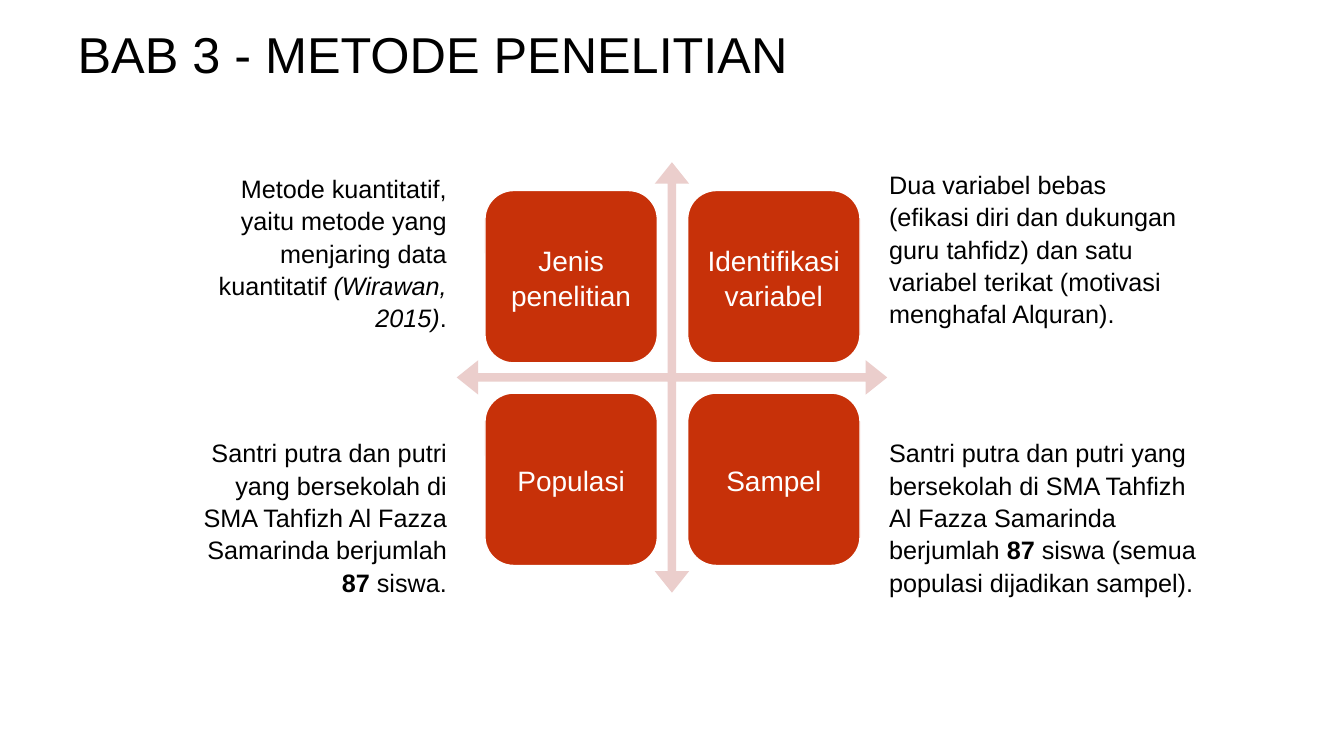
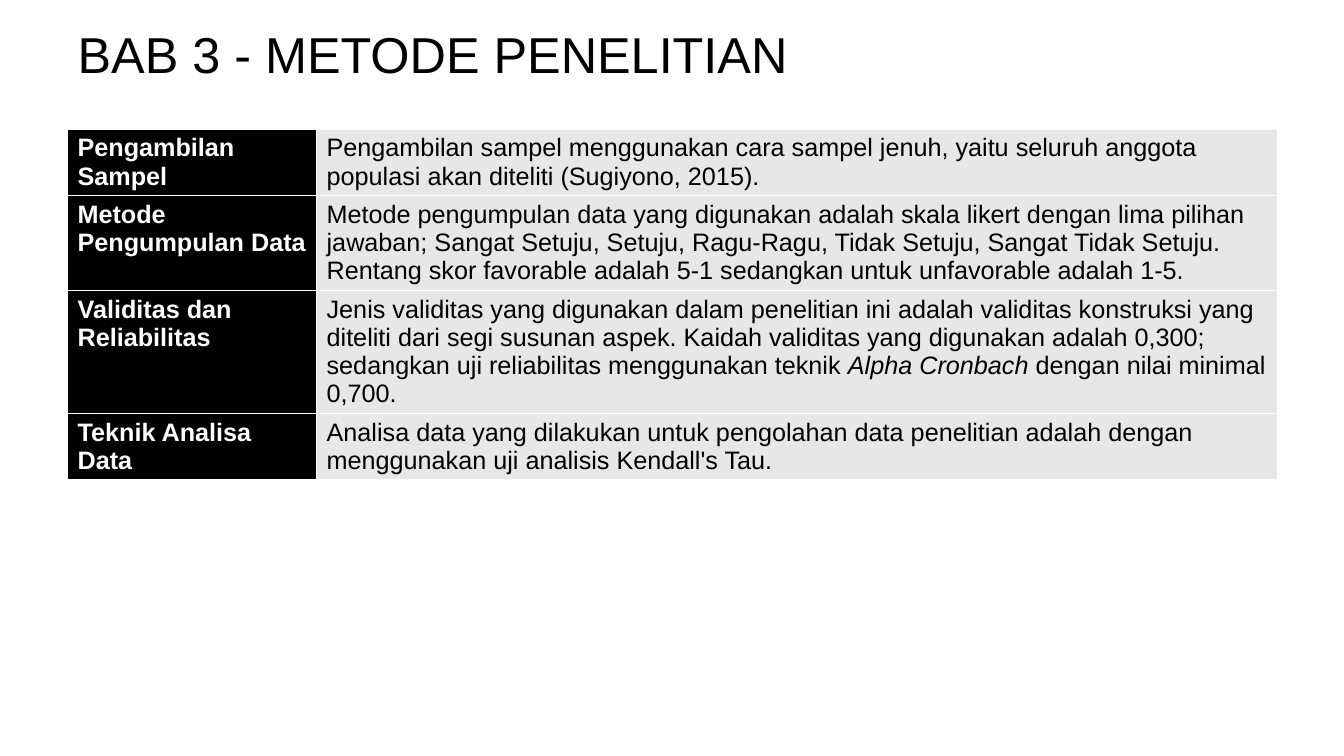
from pptx import Presentation
from pptx.dml.color import RGBColor
from pptx.enum.shapes import MSO_SHAPE as SHAPE
from pptx.enum.text import MSO_ANCHOR as ANCHOR, MSO_AUTO_SIZE as FIT, PP_ALIGN as ALIGN
from pptx.util import Inches, Pt

COLORS = {
    "black": "000000",
    "white": "FFFFFF",
    "red": "C73109",
    "pink": "EBCECC",
    "gray": "E7E7E7",
}
RGB = {name: RGBColor.from_string(code) for name, code in COLORS.items()}
FONT = "Arial"
TITLE = "BAB 3 - METODE PENELITIAN"

deck = Presentation()
deck.slide_width, deck.slide_height = Inches(13.33), Inches(7.5)


def write(frame, parts, size=18, color="black", align=ALIGN.LEFT, space=None, bold=False):
    """Fill a frame with one paragraph; parts are (text, style), style "", "b" or "i"."""
    para = frame.paragraphs[0]
    para.alignment = align
    para.line_spacing = space
    for text, style in parts:
        run = para.add_run()
        run.text = text
        font = run.font
        font.name, font.size = FONT, Pt(size)
        font.color.rgb = RGB[color]
        font.bold = bold or style == "b"
        font.italic = style == "i"


def add_page():
    """Add a title-only slide with the shared title."""
    page = deck.slides.add_slide(deck.slide_layouts[5])
    title = page.shapes.title
    title.left, title.top = Inches(0.67), Inches(0.21)
    title.width, title.height = Inches(12), Inches(0.64)
    frame = title.text_frame
    frame.auto_size = FIT.NONE
    frame.vertical_anchor = ANCHOR.MIDDLE
    write(frame, [(TITLE, "")], size=36)
    return page


# Slide 1: four aspects around a cross of arrows
shapes = add_page().shapes
cross = shapes.add_shape(SHAPE.QUAD_ARROW, Inches(4.53), Inches(1.61), Inches(4.27), Inches(4.27))
cross.shadow.inherit = False
cross.fill.solid()
cross.fill.fore_color.rgb = RGB["pink"]
cross.line.fill.background()
for i, value in enumerate((0.02, 0.04, 0.05)):
    cross.adjustments[i] = value

SIDE, STEP = 1.71, 2.01
aspects = ["Jenis penelitian", "Identifikasi variabel", "Populasi", "Sampel"]
for i, name in enumerate(aspects):
    row, col = divmod(i, 2)
    tile = shapes.add_shape(SHAPE.ROUNDED_RECTANGLE, Inches(4.81 + col * STEP),
                            Inches(1.89 + row * STEP), Inches(SIDE), Inches(SIDE))
    tile.shadow.inherit = False
    tile.fill.solid()
    tile.fill.fore_color.rgb = RGB["red"]
    tile.line.color.rgb = RGB["white"]
    tile.line.width = Pt(1)
    frame = tile.text_frame
    frame.word_wrap = True
    frame.vertical_anchor = ANCHOR.MIDDLE
    frame.margin_left = frame.margin_right = Inches(0.08)
    frame.margin_top = frame.margin_bottom = Inches(0.08)
    write(frame, [(name, "")], size=20, color="white", align=ALIGN.CENTER, space=1.05)

school = "Santri putra dan putri yang bersekolah di SMA Tahfizh Al Fazza Samarinda berjumlah "
notes = [
    (1.77, 1.65, 2.76, ALIGN.RIGHT, [
        ("Metode kuantitatif, yaitu metode yang menjaring data kuantitatif ", ""),
        ("(Wirawan, 2015)", "i"), (".", "")]),
    (8.72, 1.61, 3.1, ALIGN.LEFT, [
        ("Dua variabel bebas (efikasi diri dan dukungan guru tahfidz) dan satu "
         "variabel terikat (motivasi menghafal Alquran).", "")]),
    (1.74, 4.27, 2.79, ALIGN.RIGHT, [(school, ""), ("87", "b"), (" siswa.", "")]),
    (8.72, 4.27, 3.24, ALIGN.LEFT, [
        (school, ""), ("87", "b"), (" siswa (semua populasi dijadikan sampel).", "")]),
]
for left, top, width, align, parts in notes:
    note = shapes.add_textbox(Inches(left), Inches(top), Inches(width), Inches(1.61))
    note.text_frame.word_wrap = True
    write(note.text_frame, parts, align=align, space=1.07)

# Slide 2: table of methods, each row with its number of text lines
rows = [
    ("Pengambilan Sampel", 2, [
        ("Pengambilan sampel menggunakan cara sampel jenuh, yaitu seluruh anggota "
         "populasi akan diteliti (Sugiyono, 2015).", "")]),
    ("Metode Pengumpulan Data", 3, [
        ("Metode pengumpulan data yang digunakan adalah skala likert dengan lima pilihan "
         "jawaban; Sangat Setuju, Setuju, Ragu-Ragu, Tidak Setuju, Sangat Tidak Setuju. "
         "Rentang skor favorable adalah 5-1 sedangkan untuk unfavorable adalah 1-5.", "")]),
    ("Validitas dan Reliabilitas", 4, [
        ("Jenis validitas yang digunakan dalam penelitian ini adalah validitas konstruksi "
         "yang diteliti dari segi susunan aspek. Kaidah validitas yang digunakan adalah "
         "0,300; sedangkan uji reliabilitas menggunakan teknik ", ""),
        ("Alpha Cronbach ", "i"), ("dengan nilai minimal 0,700.", "")]),
    ("Teknik Analisa Data", 2, [
        ("Analisa data yang dilakukan untuk pengolahan data penelitian adalah dengan "
         "menggunakan uji analisis Kendall's Tau.", "")]),
]
heights = [0.1 + 0.28 * lines for _, lines, _ in rows]
table = add_page().shapes.add_table(len(rows), 2, Inches(0.67), Inches(1.28),
                                    Inches(12), Inches(sum(heights))).table
table.first_row = table.horz_banding = False
table.first_col = True
for col, width in zip(table.columns, (2.47, 9.53)):
    col.width = Inches(width)
for r, (head, _, parts) in enumerate(rows):
    table.rows[r].height = Inches(heights[r])
    for c, fill in enumerate(("black", "gray")):
        cell = table.cell(r, c)
        cell.fill.solid()
        cell.fill.fore_color.rgb = RGB[fill]
    write(table.cell(r, 0).text_frame, [(head, "")], color="white", bold=True)
    write(table.cell(r, 1).text_frame, parts)

deck.save("out.pptx")
